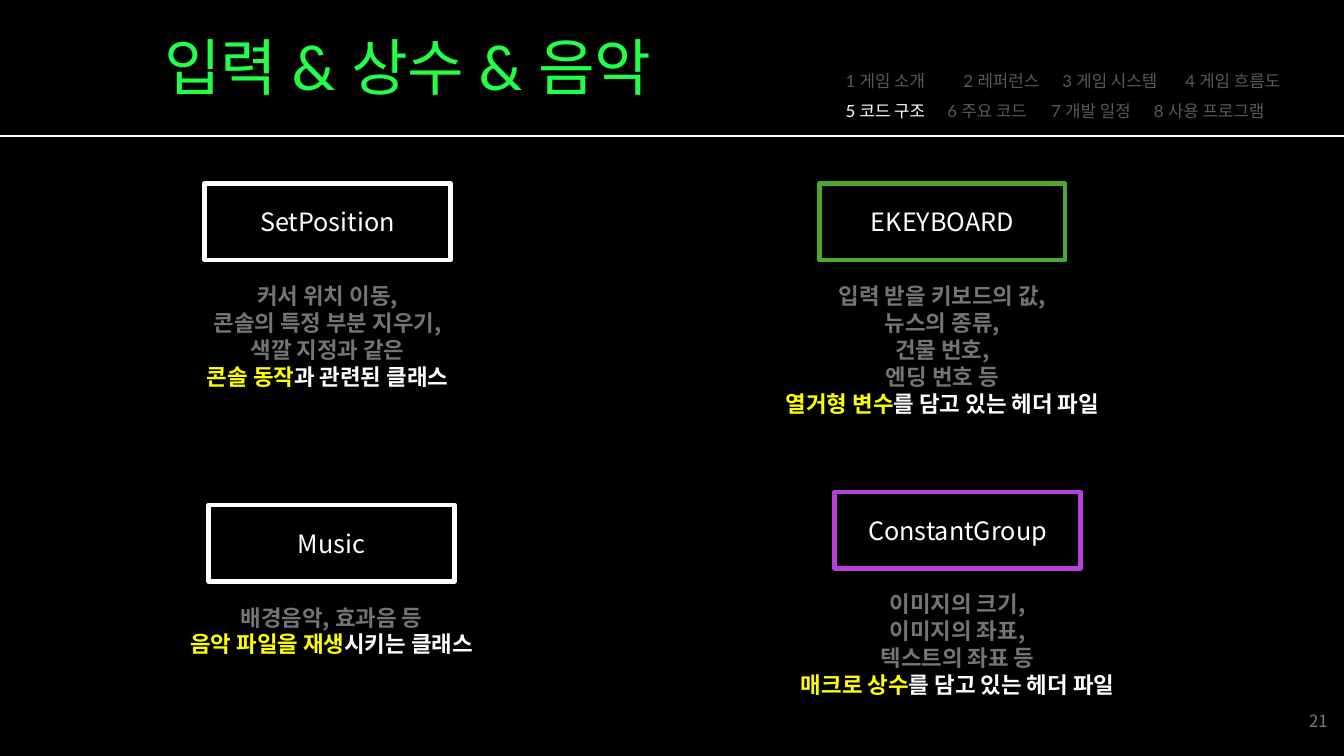
from lxml import etree
from pptx import Presentation
from pptx.dml.color import RGBColor
from pptx.enum.shapes import MSO_CONNECTOR, MSO_SHAPE
from pptx.enum.text import MSO_ANCHOR, PP_ALIGN
from pptx.oxml.ns import qn
from pptx.util import Inches, Pt

LEFT, CENTER, RIGHT = PP_ALIGN.LEFT, PP_ALIGN.CENTER, PP_ALIGN.RIGHT
TOP, MIDDLE = MSO_ANCHOR.TOP, MSO_ANCHOR.MIDDLE
RECTANGLE, STRAIGHT = MSO_SHAPE.RECTANGLE, MSO_CONNECTOR.STRAIGHT

BLACK = RGBColor(0x00, 0x00, 0x00)
WHITE = RGBColor(0xFF, 0xFF, 0xFF)
NEON = RGBColor(0x21, 0xFF, 0x46)
YELLOW = RGBColor(0xFF, 0xFF, 0x00)
GREEN = RGBColor(0x4E, 0xA7, 0x2E)
PURPLE = RGBColor(0xB6, 0x40, 0xD9)
GRAY = RGBColor(0x74, 0x74, 0x74)
DARK_GRAY = RGBColor(0x59, 0x59, 0x59)
PAGE_GRAY = RGBColor(0x79, 0x79, 0x79)

LATO, NOTO = "Lato", "Noto Sans CJK KR"
COLUMNS, ROWS = 160, 90
CARD_WIDTH, CARD_HEIGHT = 29.28, 9.12
NOTE_WIDTH, NOTE_OFFSET, NOTE_LINE, NOTE_PADDING = 50.4, 11.16, 3.24, 1.2

# Each card: centre column, top row, frame colour, name, gray lines, key words, ending
CARDS = [
    (39, 21.84, WHITE, "SetPosition",
     ["커서 위치 이동,", "콘솔의 특정 부분 지우기,", "색깔 지정과 같은"],
     "콘솔 동작", "과 관련된 클래스"),
    (39.48, 60.12, WHITE, "Music", ["배경음악, 효과음 등"],
     "음악 파일을 재생", "시키는 클래스"),
    (112.2, 21.84, GREEN, "EKEYBOARD",
     ["입력 받을 키보드의 값,", "뉴스의 종류,", "건물 번호,", "엔딩 번호 등"],
     "열거형 변수", "를 담고 있는 헤더 파일"),
    (114, 58.56, PURPLE, "ConstantGroup",
     ["이미지의 크기,", "이미지의 좌표,", "텍스트의 좌표 등"],
     "매크로 상수", "를 담고 있는 헤더 파일"),
]
# Each menu row: tab stops in columns, entries
MENU = [
    ([14.04, 25.8, 40.44], ["1 게임 소개", "2 레퍼런스", "3 게임 시스템", "4 게임 흐름도"]),
    ([12.12, 24.48, 36.72], ["5 코드 구조", "6 주요 코드", "7 개발 일정", "8 사용 프로그램"]),
]
CURRENT_ENTRY = "5 코드 구조"


def write(paragraph, text, font=NOTO, size=16, color=WHITE, bold=False):
    run = paragraph.add_run()
    run.text = text
    run.font.name, run.font.size, run.font.bold = font, Pt(size), bold
    run.font.color.rgb = color


class SlideBuilder:
    """Places elements on a grid of COLUMNS by ROWS over the slide."""

    def __init__(self, presentation):
        self.width, self.height = presentation.slide_width, presentation.slide_height
        self.slide = presentation.slides.add_slide(presentation.slide_layouts[5])
        self.slide.background.fill.solid()
        self.slide.background.fill.fore_color.rgb = BLACK

    def x(self, columns):
        return round(self.width * columns / COLUMNS)

    def y(self, rows):
        return round(self.height * rows / ROWS)

    def area(self, left, top, width, height):
        return self.x(left), self.y(top), self.x(width), self.y(height)

    def prepare(self, frame, anchor=TOP, align=LEFT, count=1):
        """Formats a text frame and returns its paragraphs."""
        frame.word_wrap, frame.vertical_anchor = True, anchor
        frame.margin_left = frame.margin_right = Inches(0.1)
        frame.margin_top = frame.margin_bottom = Inches(0.05)
        for _ in range(count - 1):
            frame.add_paragraph()
        for paragraph in frame.paragraphs:
            paragraph.alignment = align
        return frame.paragraphs

    def title(self, text, left, top, width, height):
        shape = self.slide.shapes.title
        shape.left, shape.top, shape.width, shape.height = self.area(left, top, width, height)
        write(self.prepare(shape.text_frame)[0], text, font=LATO, size=44, color=NEON)

    def text_box(self, left, top, width, height, **layout):
        shape = self.slide.shapes.add_textbox(*self.area(left, top, width, height))
        return self.prepare(shape.text_frame, **layout)

    def rule(self, row):
        line = self.slide.shapes.add_connector(
            STRAIGHT, 0, self.y(row), self.width, self.y(row))
        line.line.color.rgb, line.line.width = WHITE, Pt(1.5)
        etree.SubElement(line._element.spPr, qn("a:effectLst"))

    def card(self, center, top, color, name, details, key, ending):
        shape = self.slide.shapes.add_shape(RECTANGLE, *self.area(
            center - CARD_WIDTH / 2, top, CARD_WIDTH, CARD_HEIGHT))
        shape.shadow.inherit = False
        shape.fill.background()
        shape.line.color.rgb, shape.line.width = color, Pt(3)
        write(self.prepare(shape.text_frame, MIDDLE, CENTER)[0], name, size=18)

        count = len(details) + 1
        *detail_lines, summary = self.text_box(
            center - NOTE_WIDTH / 2, top + NOTE_OFFSET, NOTE_WIDTH,
            NOTE_PADDING + NOTE_LINE * count, align=CENTER, count=count)
        for paragraph, text in zip(detail_lines, details):
            write(paragraph, text, color=GRAY, bold=True)
        write(summary, key, color=YELLOW, bold=True)
        write(summary, ending, bold=True)

    def menu(self, left, top, width, height):
        paragraphs = self.text_box(left, top, width, height, count=len(MENU))
        for paragraph, (stops, entries) in zip(paragraphs, MENU):
            paragraph.line_spacing = 1.5
            tabs = etree.SubElement(paragraph._p.get_or_add_pPr(), qn("a:tabLst"))
            for stop in stops:
                etree.SubElement(tabs, qn("a:tab"), pos=str(self.x(stop)), algn="l")
            for index, entry in enumerate(entries):
                color = WHITE if entry == CURRENT_ENTRY else DARK_GRAY
                write(paragraph, "\t" + entry if index else entry,
                      font=LATO, size=12, color=color)


def main():
    presentation = Presentation()
    presentation.slide_width, presentation.slide_height = Inches(13.33), Inches(7.5)
    builder = SlideBuilder(presentation)
    builder.title("입력 & 상수 & 음악", 18.36, 2.88, 70.44, 10.08)
    builder.rule(16.2)
    for card in CARDS:
        builder.card(*card)
    page = builder.text_box(123.24, 83.4, 36, 4.8, anchor=MIDDLE, align=RIGHT)
    write(page[0], "21", size=12, color=PAGE_GRAY)
    builder.menu(99.48, 6.6, 60.5, 7.92)
    presentation.save("out.pptx")


if __name__ == "__main__":
    main()
